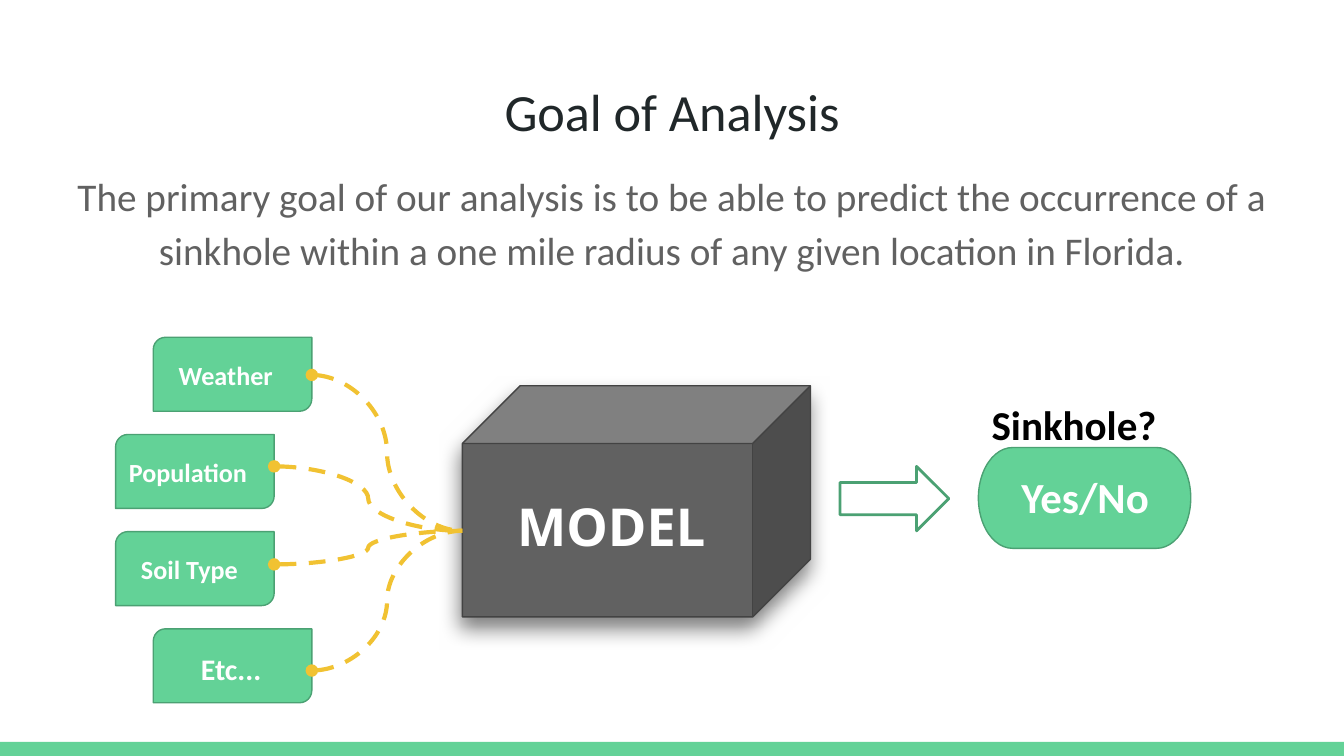
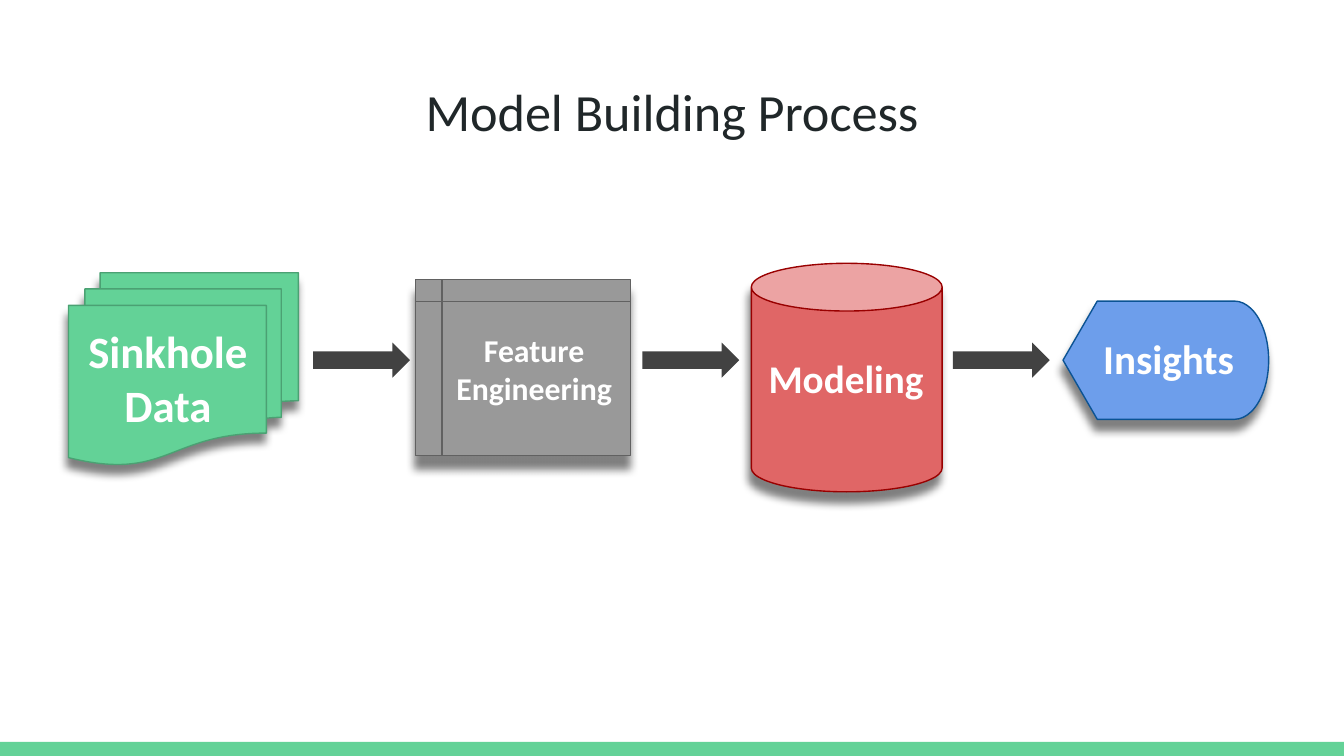
from lxml import etree
from pptx import Presentation
from pptx.dml.color import RGBColor
from pptx.enum.dml import MSO_LINE
from pptx.enum.shapes import MSO_CONNECTOR, MSO_SHAPE
from pptx.enum.text import MSO_ANCHOR, PP_ALIGN
from pptx.oxml.ns import qn
from pptx.util import Inches, Pt

CURVE = MSO_CONNECTOR.CURVE
DASH = MSO_LINE.DASH
TOP = MSO_ANCHOR.TOP
LEFT = PP_ALIGN.LEFT
CENTER = PP_ALIGN.CENTER
RECTANGLE = MSO_SHAPE.RECTANGLE
TILE = MSO_SHAPE.ROUND_2_DIAG_RECTANGLE
CUBE = MSO_SHAPE.CUBE
ARROW = MSO_SHAPE.RIGHT_ARROW
TERMINATOR = MSO_SHAPE.FLOWCHART_TERMINATOR
CAN = MSO_SHAPE.CAN
STORAGE = MSO_SHAPE.FLOWCHART_INTERNAL_STORAGE
DOCUMENTS = MSO_SHAPE.FLOWCHART_MULTIDOCUMENT
DISPLAY = MSO_SHAPE.FLOWCHART_DISPLAY

WHITE = RGBColor(0xFF, 0xFF, 0xFF)
BLACK = RGBColor(0x00, 0x00, 0x00)
INK = RGBColor(0x20, 0x27, 0x29)
GREEN = RGBColor(0x63, 0xD2, 0x97)
DARK_GREEN = RGBColor(0x4B, 0xA1, 0x73)
YELLOW = RGBColor(0xF1, 0xC2, 0x32)
GRAY = RGBColor(0x61, 0x61, 0x61)
LIGHT_GRAY = RGBColor(0x99, 0x99, 0x99)
DARK_GRAY = RGBColor(0x43, 0x43, 0x43)
ARROW_GRAY = RGBColor(0x42, 0x42, 0x42)
RED = RGBColor(0xE0, 0x66, 0x66)
DARK_RED = RGBColor(0x99, 0x00, 0x00)
BLUE = RGBColor(0x6D, 0x9E, 0xEB)
DARK_BLUE = RGBColor(0x0B, 0x53, 0x94)

BODY_FONT = "Calibri"
MODEL_FONT = "Open Sans"

COLUMNS, ROWS = 100, 56.25
SLIDE_WIDTH, SLIDE_HEIGHT = Inches(10), Inches(5.625)


def across(columns):
    return round(SLIDE_WIDTH * columns / COLUMNS)


def down(rows):
    return round(SLIDE_HEIGHT * rows / ROWS)


def place(left, top, width, height):
    return across(left), down(top), across(width), down(height)


def add_shadow(shape, blur, distance, angle):
    effects = shape._element.spPr.find(qn("a:effectLst"))
    shadow = etree.SubElement(
        effects, qn("a:outerShdw"), blurRad=str(Pt(blur)), dist=str(Pt(distance)),
        dir=str(angle * 60000), algn="bl", rotWithShape="0")
    color = etree.SubElement(shadow, qn("a:srgbClr"), val=str(BLACK))
    etree.SubElement(color, qn("a:alpha"), val="50000")


def add_figure(slide, kind, area, fill, outline=None, weight=0.75, shadow=None):
    figure = slide.shapes.add_shape(kind, *place(*area))
    figure.shadow.inherit = False
    figure.fill.solid()
    figure.fill.fore_color.rgb = fill
    if outline is None:
        figure.line.fill.background()
    else:
        figure.line.color.rgb = outline
        figure.line.width = Pt(weight)
    if shadow:
        add_shadow(figure, *shadow)


def add_text(slide, area, lines, size, color=WHITE, bold=True,
             align=CENTER, font=BODY_FONT, spacing=None):
    frame = slide.shapes.add_textbox(*place(*area)).text_frame
    frame.word_wrap = True
    frame.vertical_anchor = TOP
    frame.margin_left = frame.margin_right = Inches(0.1)
    frame.margin_top = frame.margin_bottom = Inches(0.1)
    for index, line in enumerate(lines):
        paragraph = frame.add_paragraph() if index else frame.paragraphs[0]
        paragraph.alignment = align
        if spacing:
            paragraph.line_spacing = spacing
        run = paragraph.add_run()
        run.text = line
        run.font.name = font
        run.font.size = Pt(size)
        run.font.bold = bold
        run.font.color.rgb = color


def add_link(slide, start, end):
    link = slide.shapes.add_connector(
        CURVE, across(start[0]), down(start[1]), across(end[0]), down(end[1]))
    link.line.color.rgb = YELLOW
    link.line.width = Pt(2.25)
    link.line.dash_style = DASH
    properties = link._element.spPr
    etree.SubElement(properties.find(qn("a:ln")), qn("a:headEnd"), type="oval")
    etree.SubElement(properties, qn("a:effectLst"))


def add_titled_slide(presentation, title):
    slide = presentation.slides.add_slide(presentation.slide_layouts[6])
    add_figure(slide, RECTANGLE, (0, 55.2, COLUMNS, ROWS - 55.2), GREEN)
    add_text(slide, (3.4, 4.9, 93.2, 6.3), [title], 28, INK, bold=False)
    return slide


def build_goal(presentation):
    slide = add_titled_slide(presentation, "Goal of Analysis")
    goal = ("The primary goal of our analysis is to be able to predict the occurrence "
            "of a sinkhole within a one mile radius of any given location in Florida.")
    add_text(slide, (3.4, 11.3, 93.2, 11.3), [goal], 21, GRAY, bold=False, spacing=1.15)

    add_figure(slide, CUBE, (34.4, 28.7, 25.9, 17.2), GRAY, DARK_GRAY,
               shadow=(11.2, 6, 102))
    add_text(slide, (37.5, 35.8, 17.4, 6.6), ["MODEL"], 28, align=LEFT, font=MODEL_FONT)

    tile_width, tile_height, tile_pitch = 11.8, 5.5, 7.23
    model_entry = (34.4, 39.5)
    inputs = [
        ("Weather", 11.4, 0.9, 9.9, 14, LEFT, 27.9),
        ("Population", 8.6, 0, 11.8, 14, LEFT, 34.7),
        ("Soil Type", 8.6, 0.9, 10.8, 14, LEFT, 42),
        ("Etc...", 11.4, 2.1, 7.4, 16, CENTER, 49.9),
    ]
    for row, (label, left, indent, width, size, align, link_row) in enumerate(inputs):
        top = 25.1 + row * tile_pitch
        add_figure(slide, TILE, (left, top, tile_width, tile_height), GREEN, DARK_GREEN)
        add_text(slide, (left + indent, top + 0.65, width, 3.4), [label], size, align=align)
        add_link(slide, (left + tile_width, link_row), model_entry)

    add_figure(slide, ARROW, (62.5, 34.7, 8.1, 4.8), WHITE, DARK_GREEN, 1.5)
    add_figure(slide, TERMINATOR, (72.8, 33.3, 15.8, 7.5), GREEN, DARK_GREEN)
    add_text(slide, (74.3, 34, 12.9, 5.5), ["Yes/No"], 23)
    add_text(slide, (72.8, 28.7, 15.7, 3.4), ["Sinkhole?"], 22, BLACK, align=LEFT)


def build_process(presentation):
    slide = add_titled_slide(presentation, "Model Building Process")
    stages = [
        (DOCUMENTS, (5.1, 20.3, 17.1, 14.3), GREEN, DARK_GREEN, (4.5, 5.2, 103),
         ["Sinkhole", "Data"], (4.5, 23.1, 16, 12), 24),
        (STORAGE, (30.9, 20.8, 16, 13.1), LIGHT_GRAY, GRAY, (4.5, 6.8, 95),
         ["Feature", "Engineering"], (32.1, 23.6, 15.3, 10.5), 17),
        (CAN, (55.9, 19.6, 14.2, 17), RED, DARK_RED, (4.5, 6, 106),
         ["Modeling"], (55.3, 25.4, 15.3, 5.4), 21),
        (DISPLAY, (79.1, 22.4, 15.3, 8.8), BLUE, DARK_BLUE, (4.5, 6, 103),
         ["Insights"], (78.4, 23.8, 17.1, 6), 22),
    ]
    for kind, area, fill, outline, shadow, label, label_area, size in stages:
        add_figure(slide, kind, area, fill, outline, shadow=shadow)
        add_text(slide, label_area, label, size)
    for left in (23.3, 47.8, 70.9):
        add_figure(slide, ARROW, (left, 25.5, 7.2, 2.6), ARROW_GRAY)


def main():
    presentation = Presentation()
    presentation.slide_width = SLIDE_WIDTH
    presentation.slide_height = SLIDE_HEIGHT
    build_goal(presentation)
    build_process(presentation)
    presentation.save("out.pptx")


if __name__ == "__main__":
    main()
